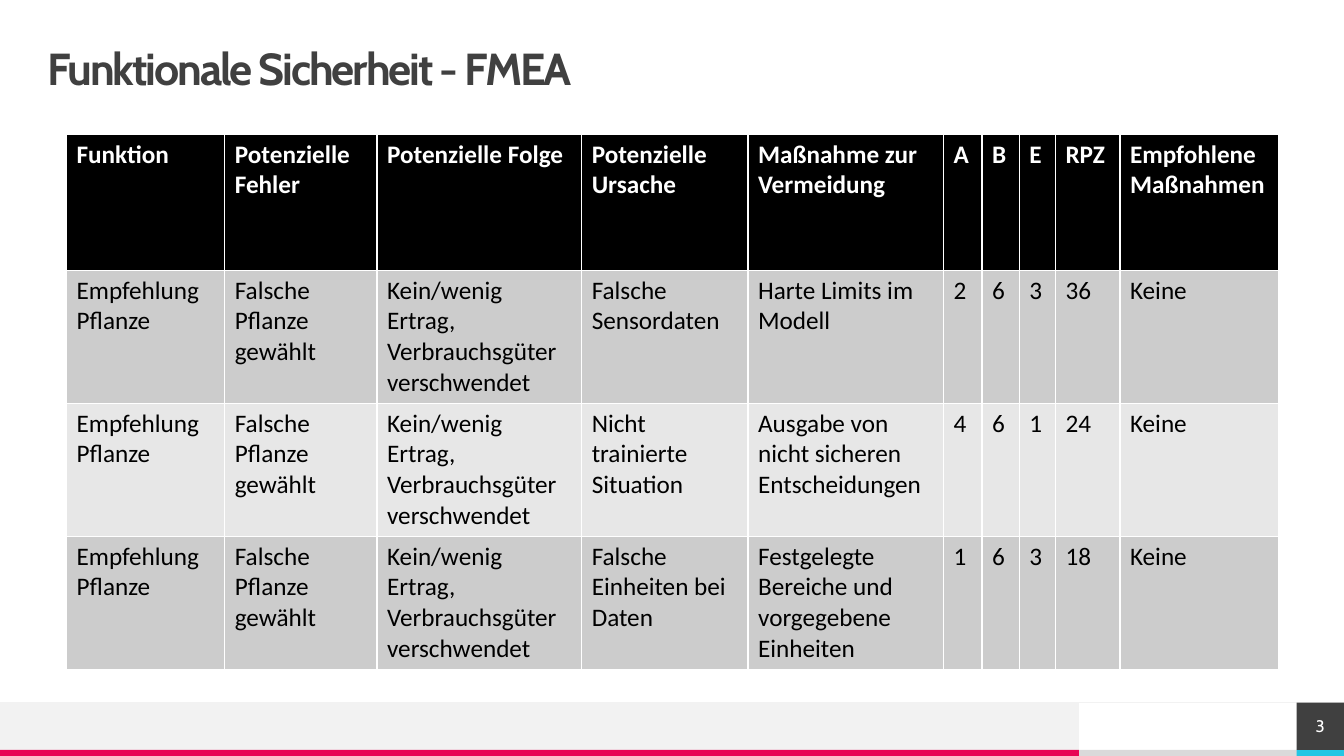
from pptx import Presentation
from pptx.dml.color import RGBColor
from pptx.enum.shapes import MSO_CONNECTOR, MSO_SHAPE
from pptx.enum.text import MSO_ANCHOR, PP_ALIGN
from pptx.oxml.ns import qn
from pptx.util import Inches, Pt
from lxml import etree

RECT = MSO_SHAPE.RECTANGLE
LINE = MSO_CONNECTOR.STRAIGHT
MIDDLE = MSO_ANCHOR.MIDDLE
LEFT, CENTER = PP_ALIGN.LEFT, PP_ALIGN.CENTER

BLACK = RGBColor(0x00, 0x00, 0x00)
WHITE = RGBColor(0xFF, 0xFF, 0xFF)
DARK = RGBColor(0x40, 0x40, 0x40)
PALE = RGBColor(0xF2, 0xF2, 0xF2)
SILVER = RGBColor(0xDA, 0xDA, 0xDA)
PINK = RGBColor(0xE8, 0x05, 0x54)
CYAN = RGBColor(0x25, 0xC6, 0xE3)
BANDS = [RGBColor(0xCC, 0xCC, 0xCC), RGBColor(0xE7, 0xE7, 0xE7)]

WIDTHS = [1.57, 1.51, 2.03, 1.65, 1.94, 0.38, 0.37, 0.36, 0.64, 1.57]
HEIGHTS = [1.35, 1.32, 1.32, 1.32]
HEADER = ["Funktion", "Potenzielle Fehler", "Potenzielle Folge",
          "Potenzielle Ursache", "Maßnahme zur Vermeidung",
          "A", "B", "E", "RPZ", "Empfohlene Maßnahmen"]
FAULT = ["Empfehlung Pflanze", "Falsche Pflanze gewählt",
         "Kein/wenig Ertrag, Verbrauchsgüter verschwendet"]
CAUSES = [
    ["Falsche Sensordaten", "Harte Limits im Modell", "2", "6", "3", "36"],
    ["Nicht trainierte Situation", "Ausgabe von nicht sicheren Entscheidungen",
     "4", "6", "1", "24"],
    ["Falsche Einheiten bei Daten",
     "Festgelegte Bereiche und vorgegebene Einheiten", "1", "6", "3", "18"],
]


def style(para, size, color, bold=False, font="Cabin", align=LEFT, gap=0):
    para.alignment = align
    for run in para.runs:
        run.font.name = font
        run.font.size = Pt(size)
        run.font.bold = bold
        run.font.color.rgb = color
        if gap:
            run.font._element.set("spc", str(int(gap * 100)))


def add_text(shape, text):
    frame = shape.text_frame
    frame.word_wrap = True
    frame.vertical_anchor = MIDDLE
    frame.margin_left = frame.margin_right = 0
    frame.margin_top = frame.margin_bottom = 0
    frame.text = text
    return frame.paragraphs[0]


def add_title(slide, x, y, w, h, text):
    box = slide.shapes.add_textbox(Inches(x), Inches(y), Inches(w), Inches(h))
    para = add_text(box, text)
    style(para, 32, DARK, True, gap=-1.5)
    para.line_spacing = 0.9


def add_bar(slide, x, y, w, h, color):
    bar = slide.shapes.add_shape(RECT, Inches(x), Inches(y), Inches(w), Inches(h))
    bar.shadow.inherit = False
    bar.fill.solid()
    bar.fill.fore_color.rgb = color
    bar.line.fill.background()
    return bar


def add_rule(slide, x, y, end, color):
    rule = slide.shapes.add_connector(LINE, Inches(x), Inches(y), Inches(end), Inches(y))
    rule.line.color.rgb = color
    rule.line.width = Pt(0.5)
    etree.SubElement(rule._element.spPr, qn("a:effectLst"))


def add_grid(slide, x, y, rows):
    frame = slide.shapes.add_table(len(rows), len(WIDTHS), Inches(x), Inches(y),
                                   Inches(sum(WIDTHS)), Inches(sum(HEIGHTS)))
    table = frame.table
    for column, width in zip(table.columns, WIDTHS):
        column.width = Inches(width)
    for r, (row, height) in enumerate(zip(rows, HEIGHTS)):
        table.rows[r].height = Inches(height)
        head = r == 0
        for c, text in enumerate(row):
            cell = table.cell(r, c)
            cell.fill.solid()
            cell.fill.fore_color.rgb = BLACK if head else BANDS[(r - 1) % 2]
            cell.text_frame.text = text
            style(cell.text_frame.paragraphs[0], 18, WHITE if head else BLACK,
                  head, "Calibri")


def add_footer(slide):
    add_bar(slide, 10.7, 7.44, 2.17, 0.06, SILVER)
    add_bar(slide, 0, 6.97, 10.7, 0.47, PALE)
    add_bar(slide, 0, 7.44, 10.7, 0.06, PINK)
    add_bar(slide, 12.86, 7.44, 0.47, 0.06, CYAN)
    add_rule(slide, 13.33, 6.97, 0, PALE)
    number = add_bar(slide, 12.86, 6.97, 0.47, 0.47, DARK)
    style(add_text(number, "3"), 12, WHITE, align=CENTER)


def main():
    deck = Presentation()
    deck.slide_width, deck.slide_height = Inches(13.33), Inches(7.5)
    slide = deck.slides.add_slide(deck.slide_layouts[6])
    add_footer(slide)
    add_title(slide, 0.47, 0.47, 12.4, 0.47, "Funktionale Sicherheit - FMEA")
    rows = [HEADER] + [FAULT + cause + ["Keine"] for cause in CAUSES]
    add_grid(slide, 0.66, 1.33, rows)
    deck.save("out.pptx")


if __name__ == "__main__":
    main()
